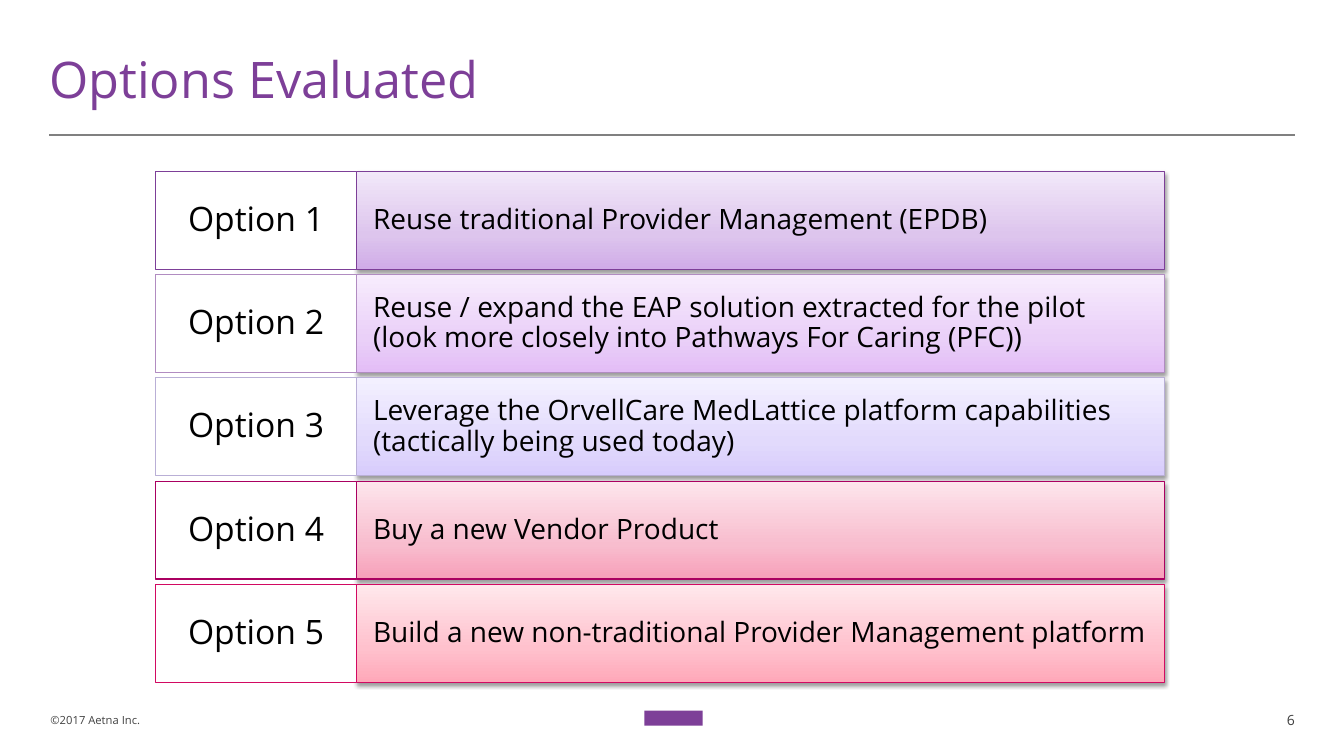
import dataclasses
from typing import Any

import lxml.etree
import pptx
import pptx.dml.color
import pptx.enum.shapes
import pptx.enum.text
import pptx.oxml.ns
import pptx.util

Inches = pptx.util.Inches
Pt = pptx.util.Pt
qn = pptx.oxml.ns.qn
Align = pptx.enum.text.PP_ALIGN
Rectangle = pptx.enum.shapes.MSO_SHAPE.RECTANGLE

PURPLE = "7D3F98"
FONT = "Open Sans"
ROW_TOP, ROW_PITCH, ROW_HEIGHT = 1.7, 1.025, 0.97
LABEL_LEFT, LABEL_WIDTH, DETAIL_WIDTH = 1.54, 2, 8.01


@dataclasses.dataclass
class Option:
    detail: str
    outline: str
    gradient: tuple[str, str, str]


@dataclasses.dataclass
class TextStyle:
    size: float
    color: str = "000000"
    align: Any = Align.LEFT
    spacing: float = 1.0
    insets: tuple[float, float] = (0, 0)


OPTIONS = [
    Option("Reuse traditional Provider Management (EPDB)",
           PURPLE, ("D0ACE8", "DDC5ED", "F2E8F9")),
    Option("Reuse / expand the EAP solution extracted for the pilot "
           "(look more closely into Pathways For Caring (PFC))",
           "B18CC1", ("E3BDF6", "EAD0F8", "F7ECFD")),
    Option("Leverage the OrvellCare MedLattice platform "
           "capabilities (tactically being used today)",
           "B9AFD6", ("D7CCFC", "E2DAFC", "F3F0FF")),
    Option("Buy a new Vendor Product",
           "AA0061", ("F79FB9", "F8BDCE", "FDE5EC")),
    Option("Build a new non-traditional Provider Management platform",
           "D20962", ("FFA8B9", "FFC1CD", "FFE8EC")),
]

TITLE = TextStyle(36, PURPLE, spacing=0.9)
LABEL = TextStyle(24, align=Align.CENTER, spacing=0.9, insets=(0.11, 0.1))
DETAIL = TextStyle(20, spacing=0.9, insets=(0.16, 0.25))
COPYRIGHT = TextStyle(8, "414141")
PAGE_NUMBER = TextStyle(10, "3F3F3F", Align.RIGHT, insets=(0.1, 0.05))


def rgb(value: str) -> pptx.dml.color.RGBColor:
    return pptx.dml.color.RGBColor.from_string(value)


def apply(target: Any, values: dict[str, Any]) -> None:
    for name, value in values.items():
        setattr(target, name, value)


def write(shape: Any, text: str, style: TextStyle) -> None:
    frame = shape.text_frame
    side, edge = map(Inches, style.insets)
    apply(frame, {
        "text": text,
        "word_wrap": True,
        "auto_size": pptx.enum.text.MSO_AUTO_SIZE.NONE,
        "vertical_anchor": pptx.enum.text.MSO_ANCHOR.MIDDLE,
        "margin_left": side, "margin_right": side,
        "margin_top": edge, "margin_bottom": edge,
    })
    paragraph = frame.paragraphs[0]
    apply(paragraph, {"alignment": style.align, "line_spacing": style.spacing})
    font = paragraph.runs[0].font
    apply(font, {"name": FONT, "size": Pt(style.size)})
    font.color.rgb = rgb(style.color)


def add_box(slide: Any, left: float, top: float, width: float, height: float,
            fill: str, outline: str | None = None) -> Any:
    box = slide.shapes.add_shape(
        Rectangle, Inches(left), Inches(top), Inches(width), Inches(height))
    box.shadow.inherit = False
    box.fill.solid()
    box.fill.fore_color.rgb = rgb(fill)
    if outline:
        box.line.color.rgb = rgb(outline)
        box.line.width = Pt(0.75)
    else:
        box.line.fill.background()
    return box


def add_note(slide: Any, left: float, width: float, text: str, style: TextStyle) -> None:
    note = slide.shapes.add_textbox(Inches(left), Inches(7.02), Inches(width), Inches(0.25))
    write(note, text, style)


def shade(box: Any, colors: tuple[str, str, str]) -> None:
    box.fill.gradient()
    box.fill.gradient_angle = 90
    stops = box._element.spPr.find(qn("a:gradFill")).find(qn("a:gsLst"))
    for stop in list(stops):
        stops.remove(stop)
    for position, color in zip((0, 35000, 100000), colors):
        stop = lxml.etree.SubElement(stops, qn("a:gs"), pos=str(position))
        lxml.etree.SubElement(stop, qn("a:srgbClr"), val=color)


def cast_shadow(box: Any) -> None:
    effects = box._element.spPr.find(qn("a:effectLst"))
    shadow = lxml.etree.SubElement(
        effects, qn("a:outerShdw"), blurRad=str(Pt(3.1)), dist=str(Pt(1.6)),
        dir="5400000", rotWithShape="0")
    color = lxml.etree.SubElement(shadow, qn("a:srgbClr"), val="000000")
    lxml.etree.SubElement(color, qn("a:alpha"), val="38000")


def add_option(slide: Any, number: int, option: Option) -> None:
    top = ROW_TOP + (number - 1) * ROW_PITCH
    detail = add_box(slide, LABEL_LEFT + LABEL_WIDTH, top, DETAIL_WIDTH, ROW_HEIGHT,
                     option.gradient[0], option.outline)
    shade(detail, option.gradient)
    cast_shadow(detail)
    write(detail, option.detail, DETAIL)
    label = add_box(slide, LABEL_LEFT, top, LABEL_WIDTH, ROW_HEIGHT,
                    "FFFFFF", option.outline)
    write(label, f"Option {number}", LABEL)


def add_title(slide: Any) -> None:
    title = slide.shapes.title
    apply(title, {"left": Inches(0.49), "top": Inches(0.42),
                  "width": Inches(10.34), "height": Inches(0.8)})
    write(title, "Options Evaluated", TITLE)
    rule = slide.shapes.add_connector(
        pptx.enum.shapes.MSO_CONNECTOR.STRAIGHT,
        Inches(0.49), Inches(1.34), Inches(12.84), Inches(1.34))
    rule.line.color.rgb = rgb("808080")
    rule.line.width = Pt(1)
    lxml.etree.SubElement(rule._element.spPr, qn("a:effectLst"))


def main() -> None:
    deck = pptx.Presentation()
    apply(deck, {"slide_width": Inches(13.33), "slide_height": Inches(7.5)})
    slide = deck.slides.add_slide(deck.slide_layouts[5])
    add_box(slide, 6.39, 7.05, 0.58, 0.15, PURPLE)
    add_note(slide, 12.14, 0.8, "6", PAGE_NUMBER)
    add_note(slide, 0.5, 4.22, "©2017 Aetna Inc.", COPYRIGHT)
    add_title(slide)
    for number, option in enumerate(OPTIONS, 1):
        add_option(slide, number, option)
    deck.save("out.pptx")


if __name__ == "__main__":
    main()
